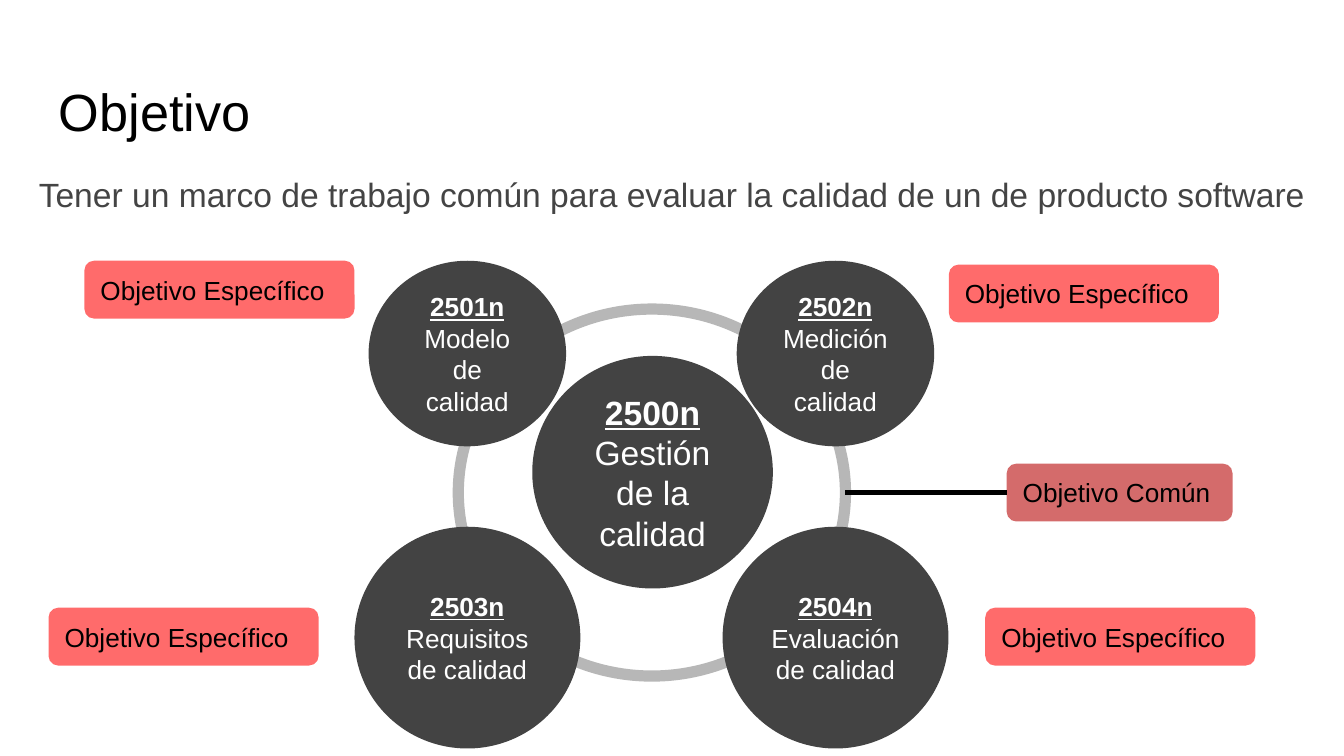
from lxml import etree
from pptx import Presentation
from pptx.dml.color import RGBColor
from pptx.enum.shapes import MSO_CONNECTOR, MSO_SHAPE
from pptx.enum.text import MSO_ANCHOR, PP_ALIGN
from pptx.oxml.ns import qn
from pptx.util import Pt

OVAL, ROUNDED = MSO_SHAPE.OVAL, MSO_SHAPE.ROUNDED_RECTANGLE
STRAIGHT = MSO_CONNECTOR.STRAIGHT
LEFT, CENTER = PP_ALIGN.LEFT, PP_ALIGN.CENTER
TOP, MIDDLE = MSO_ANCHOR.TOP, MSO_ANCHOR.MIDDLE
LEFT_SIDE = 1

COLORS = {
    "black": "000000", "white": "FFFFFF", "subtitle": "444444",
    "circle": "434343", "ring": "B7B7B7", "specific": "FF0000", "common": "B60000",
}


def write(shape, text, size=14, color="black", align=LEFT, anchor=MIDDLE, heading="", spacing=1.0):
    """Write one paragraph, led by an optional bold, underlined heading."""
    frame = shape.text_frame
    frame.word_wrap = True
    frame.vertical_anchor = anchor
    frame.margin_left = frame.margin_right = frame.margin_top = frame.margin_bottom = Pt(7.2)
    paragraph = frame.paragraphs[0]
    paragraph.alignment = align
    paragraph.line_spacing = spacing
    parts = [(heading, True), (" " + text, False)] if heading else [(text, False)]
    for words, emphasis in parts:
        run = paragraph.add_run()
        run.text = words
        run.font.name = "Arial"
        run.font.size = Pt(size)
        run.font.bold = run.font.underline = emphasis
        run.font.color.rgb = RGBColor.from_string(COLORS[color])


def add_filled(kind, left, top, width, height, color, opacity=100):
    """Add a shape without outline or shadow, with an opacity in percent."""
    shape = slide.shapes.add_shape(kind, Pt(left), Pt(top), Pt(width), Pt(height))
    shape.shadow.inherit = False
    shape.line.fill.background()
    shape.fill.solid()
    shape.fill.fore_color.rgb = RGBColor.from_string(COLORS[color])
    if opacity < 100:
        fill_color = shape.fill._xPr.find(qn("a:solidFill"))[0]
        etree.SubElement(fill_color, qn("a:alpha"), val=str(opacity * 1000))
    return shape


presentation = Presentation()
presentation.slide_width, presentation.slide_height = Pt(720), Pt(405)
slide = presentation.slides.add_slide(presentation.slide_layouts[6])

# Title and subtitle
title = slide.shapes.add_textbox(Pt(24.5), Pt(35.3), Pt(671), Pt(45.4))
write(title, "Objetivo", size=28, anchor=TOP)
subtitle = slide.shapes.add_textbox(Pt(12.2), Pt(82.8), Pt(695.6), Pt(45.4))
write(subtitle, "Tener un marco de trabajo común para evaluar la calidad de un de producto software",
      size=18, color="subtitle", align=CENTER, anchor=TOP, spacing=1.15)

# Ring behind the circles
ring = slide.shapes.add_shape(OVAL, Pt(245.5), Pt(165.6), Pt(207.4), Pt(196.6))
ring.shadow.inherit = False
ring.fill.background()
ring.line.color.rgb = RGBColor.from_string(COLORS["ring"])
ring.line.width = Pt(6)

# Circles: centre x, centre y, width, height, text size, heading, text
circles = [
    (349.6, 253, 128.9, 124.6, 18, "2500n", "Gestión de la calidad"),
    (250.4, 189.4, 105.8, 99.4, 14, "2501n", "Modelo de calidad"),
    (447.6, 189.4, 105.8, 99.4, 14, "2502n", "Medición de calidad"),
    (250.4, 341.6, 121, 118.8, 14, "2503n", "Requisitos de calidad"),
    (447.6, 341.6, 121, 118.8, 14, "2504n", "Evaluación de calidad"),
]
for center_x, center_y, width, height, size, heading, text in circles:
    circle = add_filled(OVAL, center_x - width / 2, center_y - height / 2, width, height, "circle")
    write(circle, text, size=size, color="white", align=CENTER, heading=heading)

# Objective labels; the common one comes last
labels = [
    (45.2, 139.7, 144.7, "specific", "Objetivo Específico"),
    (26, 325.6, 144.7, "specific", "Objetivo Específico"),
    (508.3, 141.8, 144.7, "specific", "Objetivo Específico"),
    (527.8, 325.6, 144.7, "specific", "Objetivo Específico"),
    (539.3, 248.4, 121, "common", "Objetivo Común"),
]
for left, top, width, color, text in labels:
    label = add_filled(ROUNDED, left, top, width, 31, color, opacity=58)
    write(label, text)
common_label = label

# Line from the ring to the common objective
connector = slide.shapes.add_connector(STRAIGHT, Pt(452.9), Pt(263.9), Pt(539.3), Pt(263.9))
connector.end_connect(common_label, LEFT_SIDE)
connector.line.color.rgb = RGBColor.from_string(COLORS["black"])
connector.line.width = Pt(2.25)
etree.SubElement(connector._element.spPr, qn("a:effectLst"))

presentation.save("out.pptx")
